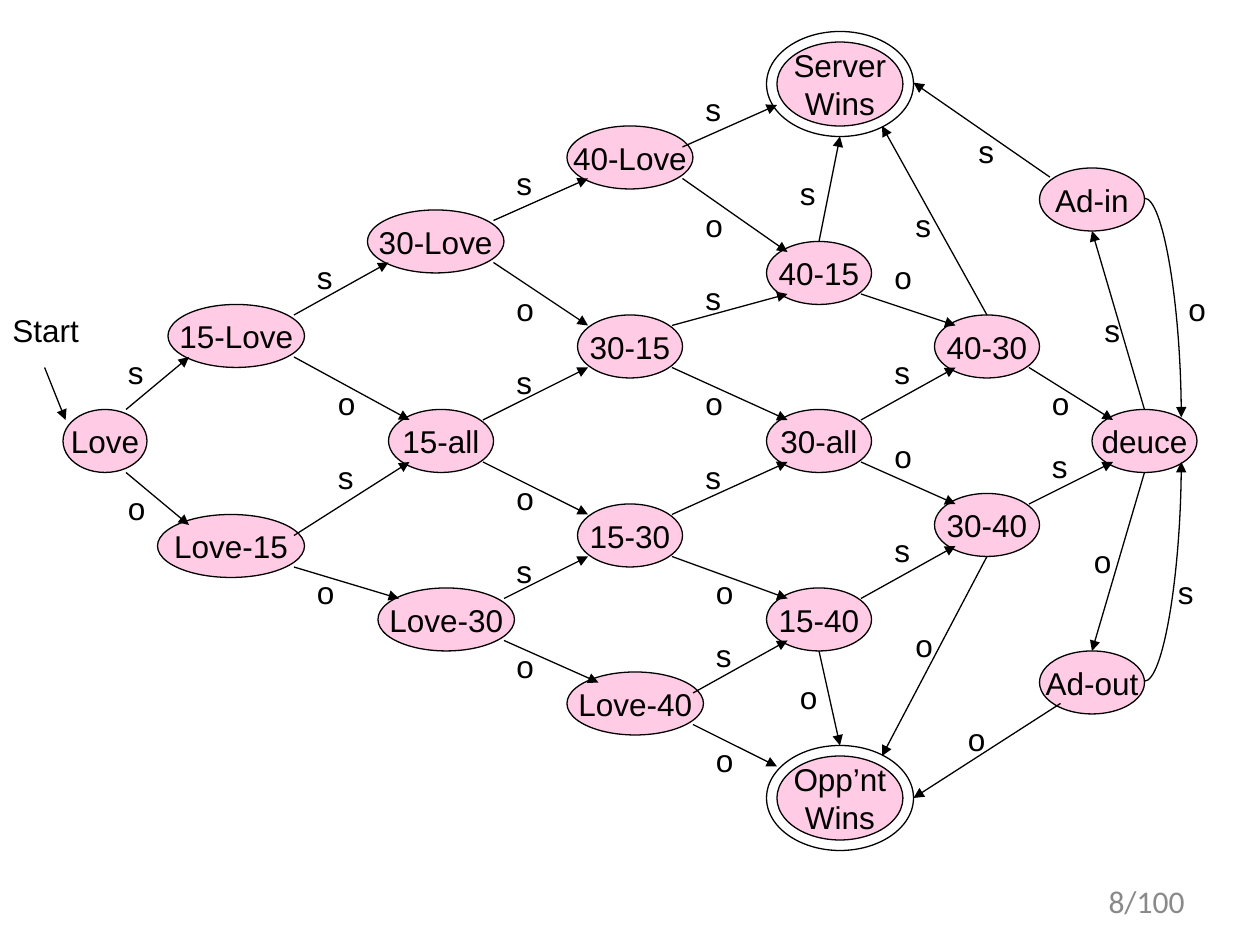
"""Build a slide with the state diagram of scoring in one tennis game."""
from lxml.etree import SubElement
from pptx import Presentation
from pptx.dml.color import RGBColor
from pptx.enum.shapes import MSO_CONNECTOR as LINK, MSO_SHAPE as SHAPE
from pptx.enum.text import MSO_ANCHOR as ANCHOR, MSO_AUTO_SIZE as FIT, PP_ALIGN as ALIGN
from pptx.oxml.ns import qn
from pptx.util import Pt

PX = 9525
BLACK, PINK, GREY = "000000", "FF99CC", "898989"
STATE_H, WIN_W, WIN_H, RING_GAP = 48, 96, 64, 8
LABEL_W, LABEL_H = {"s": 30, "o": 33}, 38

# (name, left, top, width)
STATES = [
    ("Love", 48, 312, 64),
    ("Love-15", 120, 392, 112), ("15-Love", 128, 232, 104),
    ("Love-30", 288, 448, 104), ("15-all", 296, 312, 80), ("30-Love", 280, 160, 104),
    ("Love-40", 432, 512, 104), ("15-30", 440, 384, 80),
    ("30-15", 440, 240, 80), ("40-Love", 432, 96, 96),
    ("40-15", 584, 184, 80), ("15-40", 584, 448, 80), ("30-all", 584, 312, 80),
    ("30-40", 712, 376, 80), ("40-30", 712, 240, 80), ("deuce", 832, 312, 80),
    ("Ad-out", 792, 496, 80), ("Ad-in", 792, 128, 80),
]
WINS = [("Server\nWins", 592, 32), ("Opp’nt\nWins", 592, 576)]

# (point winner, (from x, from y), (to x, to y), (label left, label top))
POINTS = [
    ("s", (96, 312), (144, 272), (88, 264)),
    ("o", (96, 360), (144, 400), (88, 368)),
    ("s", (224, 240), (296, 200), (232, 192)),
    ("o", (224, 272), (312, 320), (248, 288)),
    ("s", (224, 408), (312, 352), (248, 344)),
    ("o", (224, 432), (304, 456), (232, 432)),
    ("s", (376, 168), (448, 136), (384, 120)),
    ("o", (376, 200), (448, 248), (384, 216)),
    ("s", (368, 320), (448, 280), (384, 272)),
    ("o", (368, 352), (448, 392), (384, 360)),
    ("s", (384, 456), (448, 424), (384, 416)),
    ("o", (384, 488), (456, 520), (384, 488)),
    ("s", (520, 112), (592, 80), (528, 64)),
    ("o", (520, 136), (600, 192), (528, 152)),
    ("s", (512, 248), (600, 224), (528, 208)),
    ("o", (512, 280), (600, 320), (528, 288)),
    ("s", (512, 392), (600, 352), (528, 344)),
    ("o", (512, 424), (600, 456), (536, 432)),
    ("s", (528, 528), (600, 488), (536, 480)),
    ("o", (528, 552), (592, 584), (536, 560)),
    ("s", (624, 184), (640, 104), (600, 128)),
    ("o", (656, 224), (728, 248), (672, 192)),
    ("s", (656, 320), (728, 280), (672, 264)),
    ("o", (656, 352), (728, 384), (672, 328)),
    ("s", (656, 456), (728, 416), (672, 400)),
    ("o", (624, 496), (640, 568), (600, 512)),
    ("s", (752, 240), (672, 96), (688, 152)),
    ("o", (784, 280), (848, 320), (792, 288)),
    ("s", (784, 384), (848, 352), (792, 336)),
    ("o", (752, 424), (672, 576), (688, 472)),
    ("s", (872, 312), (832, 176), (832, 232)),
    ("o", (872, 360), (832, 496), (824, 408)),
    ("s", (800, 135), (696, 63), (736, 96)),
    ("o", (808, 536), (696, 608), (728, 544)),
]
BACK_TO_DEUCE = [
    ("s", (872, 519), (900, 352), (888, 432)),
    ("o", (872, 151), (900, 318), (896, 216)),
]


def emu(*lengths):
    return [length * PX for length in lengths]


def color(hex_text):
    return RGBColor.from_string(hex_text)


def write(holder, text, font="Arial", ink=BLACK, align=ALIGN.LEFT, anchor=ANCHOR.TOP,
          wrap=False, fit=FIT.NONE):
    frame = holder.text_frame
    frame.text = text
    frame.word_wrap, frame.vertical_anchor, frame.auto_size = wrap, anchor, fit
    for paragraph in frame.paragraphs:
        paragraph.alignment = align
        paragraph.font.size, paragraph.font.name = Pt(18), font
        paragraph.font.color.rgb = color(ink)


def add_text(shapes, text, left, top, width, **text_format):
    write(shapes.add_textbox(*emu(left, top, width, LABEL_H)), text, **text_format)


def add_ellipse(shapes, left, top, width, height, name=None):
    ellipse = shapes.add_shape(SHAPE.OVAL, *emu(left, top, width, height))
    ellipse.shadow.inherit = False
    ellipse.line.color.rgb, ellipse.line.width = color(BLACK), Pt(0.75)
    if name is None:
        ellipse.fill.background()
        return
    ellipse.fill.solid()
    ellipse.fill.fore_color.rgb = color(PINK)
    tint = ellipse._element.spPr.find(qn("a:solidFill"))[0]
    SubElement(tint, qn("a:alpha"), val="50000")
    write(ellipse, name, align=ALIGN.CENTER, anchor=ANCHOR.MIDDLE)


def add_arrow(shapes, start, end, curved=False):
    arrow = shapes.add_connector(LINK.CURVE if curved else LINK.STRAIGHT, *emu(*start, *end))
    arrow.line.color.rgb, arrow.line.width = color(BLACK), Pt(0.75)
    properties = arrow._element.spPr
    if curved:
        properties.find(qn("a:prstGeom")).set("prst", "curvedConnector2")
    SubElement(properties.find(qn("a:ln")), qn("a:tailEnd"), type="triangle")
    SubElement(properties, qn("a:effectLst"))


def add_points(shapes, points, curved=False):
    for winner, start, end, label in points:
        add_arrow(shapes, start, end, curved)
        add_text(shapes, winner, *label, LABEL_W[winner], fit=FIT.SHAPE_TO_FIT_TEXT)


def main():
    deck = Presentation()
    deck.slide_width, deck.slide_height = emu(960, 720)
    shapes = deck.slides.add_slide(deck.slide_layouts[6]).shapes

    for name, left, top, width in STATES:
        add_ellipse(shapes, left, top, width, STATE_H, name)
    for name, left, top in WINS:
        add_ellipse(shapes, left, top, WIN_W, WIN_H, name)
        add_ellipse(shapes, left - RING_GAP, top - RING_GAP,
                    WIN_W + 2 * RING_GAP, WIN_H + 2 * RING_GAP)

    add_text(shapes, "Start", 0, 232, 70, fit=FIT.SHAPE_TO_FIT_TEXT)
    add_arrow(shapes, (34, 280), (50, 320))
    add_points(shapes, POINTS)
    add_points(shapes, BACK_TO_DEUCE, curved=True)
    add_text(shapes, "8/100", 688, 667, 224, font="Calibri", ink=GREY,
             align=ALIGN.RIGHT, anchor=ANCHOR.MIDDLE, wrap=True)
    deck.save("out.pptx")


if __name__ == "__main__":
    main()
